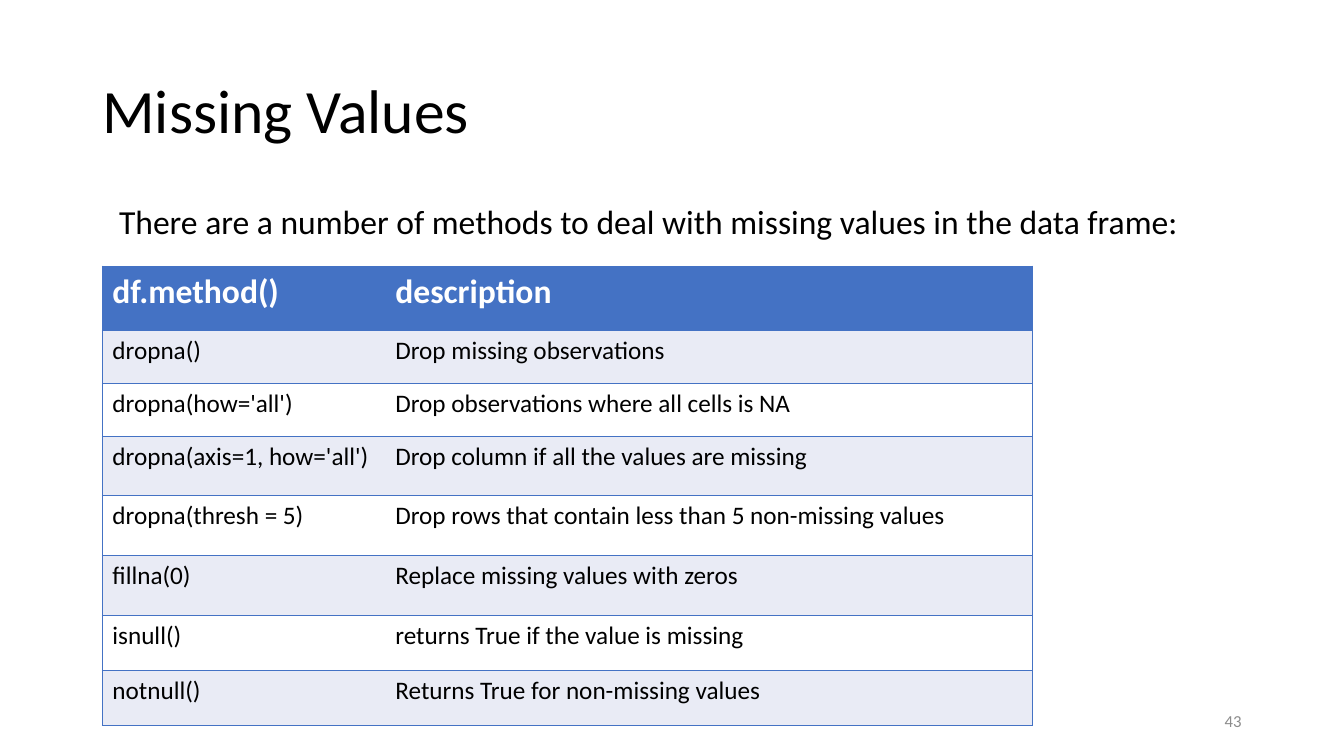
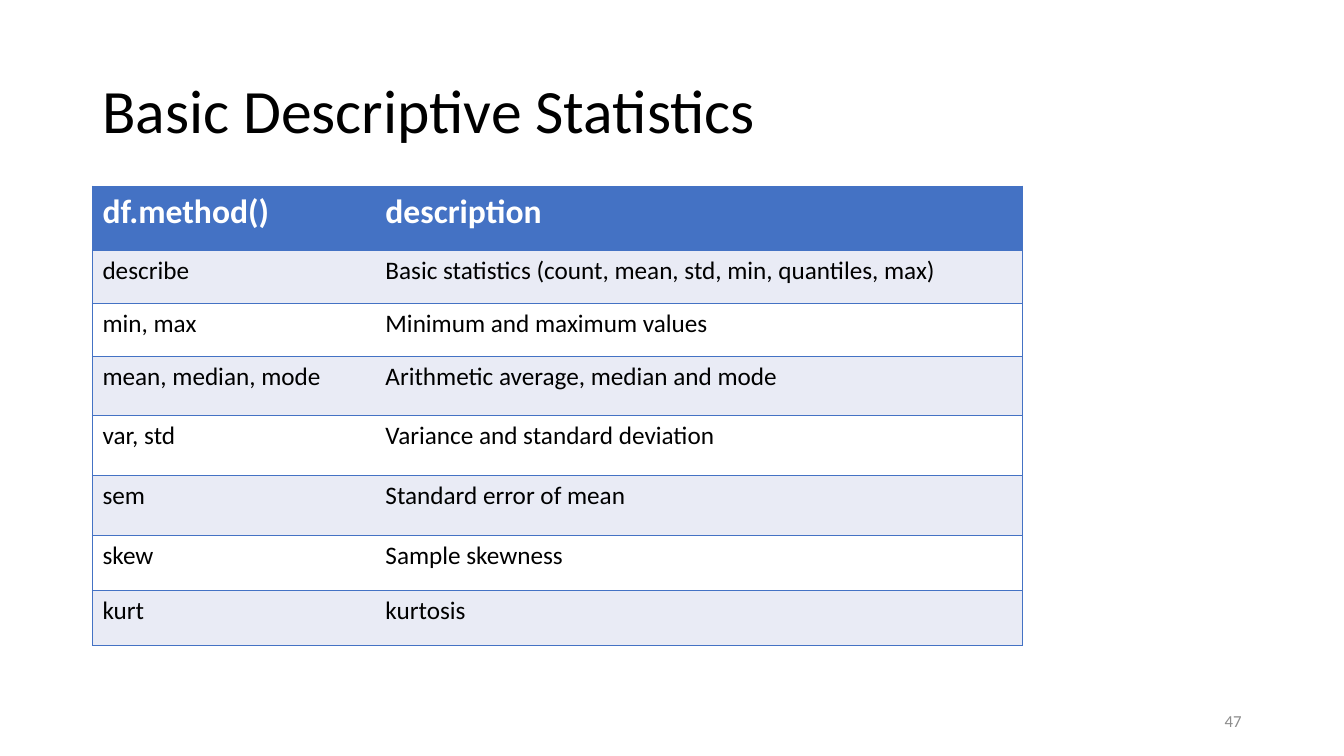
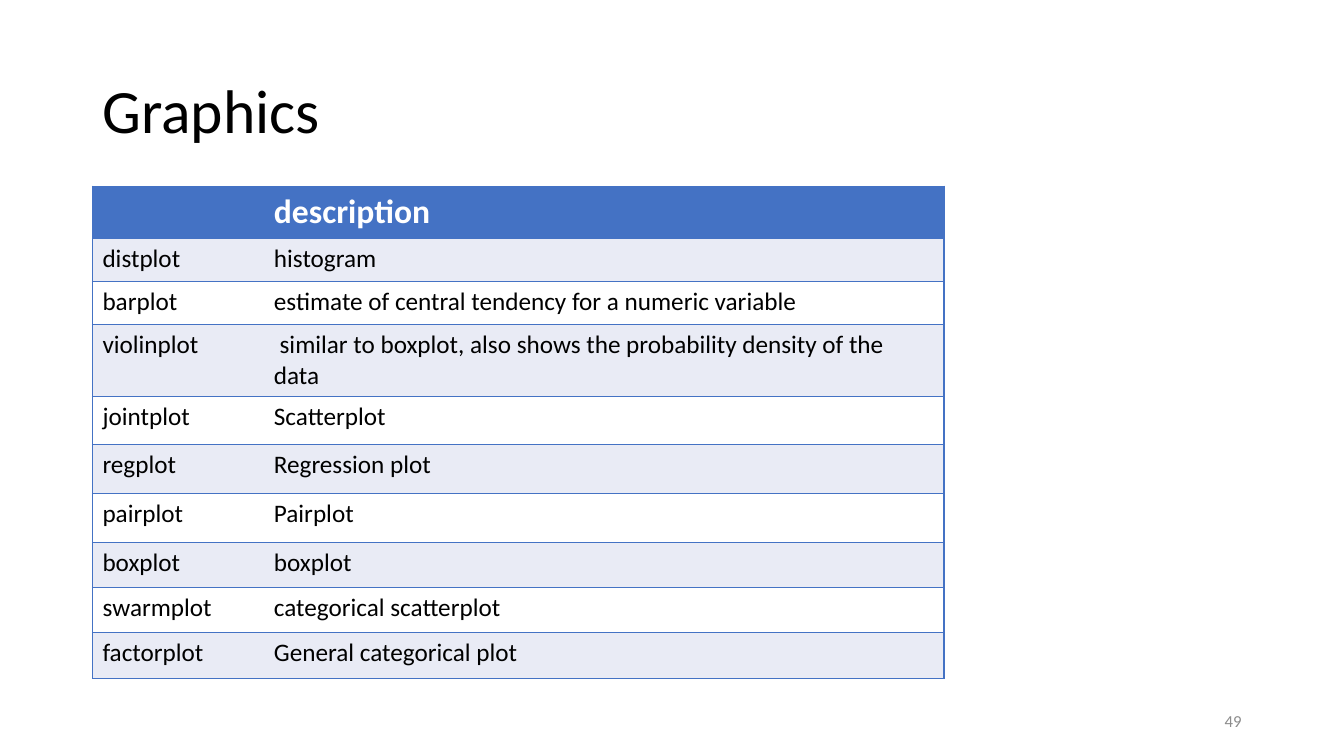
"""Build three slides of pandas and plotting method tables."""
from lxml import etree
from pptx import Presentation
from pptx.dml.color import RGBColor
from pptx.enum.text import MSO_ANCHOR, PP_ALIGN
from pptx.oxml.ns import qn
from pptx.util import Cm, Pt

COLORS = {
    "text": "000000",
    "number": "8C8C8C",
    "accent": "4472C4",
    "header_text": "FFFFFF",
    "band": "E9EBF5",
    "plain": "FFFFFF",
}
FONT = "Calibri"
TITLE = {"size": Pt(44), "bold": False}
INTRO = {"size": Pt(24), "bold": False}
NUMBER = {"size": Pt(12), "bold": False}
HEADER = {"size": Pt(24), "bold": True}
BODY = {"size": Pt(18), "bold": False}

METHOD_COLS = [7.13, 16.3]
METHOD_ROWS = [1.61, 1.34, 1.34, 1.49, 1.51, 1.51, 1.39, 1.39]
PLOT_COLS = [4.32, 17.14]
PLOT_ROWS = [1.31, 1.09, 1.09, 1.81, 1.22, 1.23, 1.23, 1.14, 1.14, 1.14]

MISSING = [
    ("df.method()", "description"),
    ("dropna()", "Drop missing observations"),
    ("dropna(how='all')", "Drop observations where all cells is NA"),
    ("dropna(axis=1, how='all')", "Drop column if all the values are missing"),
    ("dropna(thresh = 5)", "Drop rows that contain less than 5 non-missing values"),
    ("fillna(0)", "Replace missing values with zeros"),
    ("isnull()", "returns True if the value is missing"),
    ("notnull()", "Returns True for non-missing values"),
]
STATISTICS = [
    ("df.method()", "description"),
    ("describe", "Basic statistics (count, mean, std, min, quantiles, max)"),
    ("min, max", "Minimum and maximum values"),
    ("mean, median, mode", "Arithmetic average, median and mode"),
    ("var, std", "Variance and standard deviation"),
    ("sem", "Standard error of mean"),
    ("skew", "Sample skewness"),
    ("kurt", "kurtosis"),
]
GRAPHICS = [
    ("", "description"),
    ("distplot", "histogram"),
    ("barplot", "estimate of central tendency for a numeric variable"),
    ("violinplot", " similar to boxplot, also shows the probability density of the data"),
    ("jointplot", "Scatterplot"),
    ("regplot", "Regression plot"),
    ("pairplot", "Pairplot"),
    ("boxplot", "boxplot"),
    ("swarmplot", "categorical scatterplot"),
    ("factorplot", "General categorical plot"),
]


def rgb(name):
    return RGBColor.from_string(COLORS[name])


def style_font(font, style, color):
    for key, value in {"name": FONT, **style}.items():
        setattr(font, key, value)
    font.color.rgb = rgb(color)


def add_text(s, box, text, style, color="text", anchor=MSO_ANCHOR.MIDDLE, **layout):
    tf = s.shapes.add_textbox(*map(Cm, box)).text_frame
    tf.word_wrap = True
    tf.vertical_anchor = anchor
    p = tf.paragraphs[0]
    for key, value in layout.items():
        setattr(p, key, value)
    r = p.add_run()
    r.text = text
    style_font(r.font, style, color)


def set_border(cell, side, visible):
    tc_pr = cell._tc.get_or_add_tcPr()
    ln = etree.SubElement(tc_pr, qn(f"a:ln{side}"), w=str(Pt(1)))
    if visible:
        fill = etree.SubElement(ln, qn("a:solidFill"))
        etree.SubElement(fill, qn("a:srgbClr"), val=COLORS["accent"])
    else:
        etree.SubElement(ln, qn("a:noFill"))


def fill_cell(cell, text, row, first, last):
    for side, visible in {"L": first, "R": last, "T": True, "B": True}.items():
        set_border(cell, side, visible)
    cell.fill.solid()
    cell.fill.fore_color.rgb = rgb("accent" if row == 0 else "band" if row % 2 else "plain")
    p = cell.text_frame.paragraphs[0]
    if text:
        r = p.add_run()
        r.text = text
        style_font(r.font, *((BODY, "text") if row else (HEADER, "header_text")))


def add_grid(s, left, top, widths, heights, data):
    size = map(Cm, (left, top, sum(widths), sum(heights)))
    table = s.shapes.add_table(len(heights), len(widths), *size).table
    for column, width in zip(table.columns, widths):
        column.width = Cm(width)
    for row, height in zip(table.rows, heights):
        row.height = Cm(height)
    for i, values in enumerate(data):
        for j, text in enumerate(values):
            fill_cell(table.cell(i, j), text, i, j == 0, j == len(widths) - 1)


def add_page(prs, title, number):
    s = prs.slides.add_slide(prs.slide_layouts[6])
    add_text(s, (2.33, 1.01, 29.21, 3.68), title, TITLE, line_spacing=0.9)
    add_text(s, (23.92, 17.66, 7.62, 1.01), number, NUMBER, "number", alignment=PP_ALIGN.RIGHT)
    return s


def main():
    prs = Presentation()
    prs.slide_width, prs.slide_height = Cm(33.87), Cm(19.05)

    s = add_page(prs, "Missing Values", "43")
    add_text(s, (2.75, 4.93, 28.93, 1.28),
             "There are a number of methods to deal with missing values in the data frame:",
             INTRO, anchor=MSO_ANCHOR.TOP)
    add_grid(s, 2.58, 6.71, METHOD_COLS, METHOD_ROWS, MISSING)

    s = add_page(prs, "Basic Descriptive Statistics", "47")
    add_grid(s, 2.33, 4.69, METHOD_COLS, METHOD_ROWS, STATISTICS)

    s = add_page(prs, "Graphics", "49")
    add_grid(s, 2.33, 4.69, PLOT_COLS, PLOT_ROWS, GRAPHICS)

    prs.save("out.pptx")


if __name__ == "__main__":
    main()
